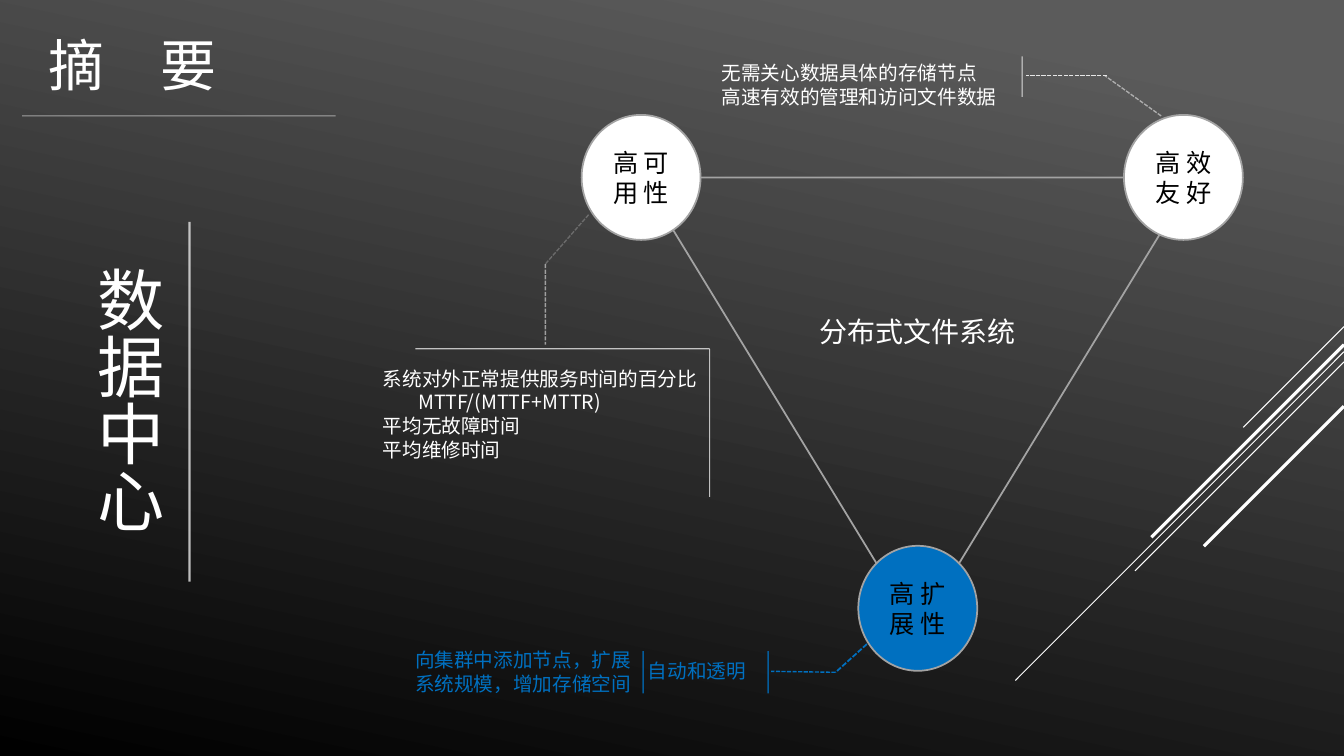
from dataclasses import dataclass
from itertools import pairwise

from lxml.etree import SubElement
from pptx import Presentation
from pptx.dml.color import RGBColor
from pptx.enum.dml import MSO_LINE
from pptx.enum.shapes import MSO_CONNECTOR, MSO_SHAPE
from pptx.enum.text import MSO_ANCHOR, MSO_AUTO_SIZE, PP_ALIGN
from pptx.oxml.ns import qn
from pptx.util import Emu, Inches, Pt

COLUMNS, ROWS = 40, 22.5
CELL = Inches(7.5) / ROWS


@dataclass(frozen=True)
class Theme:
    """Colours and type sizes of the slide."""
    font: str = "Noto Sans CJK SC"
    white: str = "FFFFFF"
    black: str = "000000"
    blue: str = "0070C0"
    pale: str = "E6E6E6"
    grey: str = "A3A3A3"
    dim: str = "898989"
    backdrop: str = "5B5B5B"
    title: int = 40
    subject: int = 48
    heading: int = 20
    node: int = 18
    note: int = 14


THEME = Theme()


@dataclass(frozen=True)
class Box:
    """A region measured in grid cells."""
    left: float
    top: float
    width: float
    height: float

    def inner(self, left, top, width, height):
        """Return a box placed relative to this one."""
        return Box(self.left + left, self.top + top, width, height)

    def point(self, column, row):
        """Return slide coordinates of a point in this box."""
        return Emu(round((self.left + column) * CELL)), Emu(round((self.top + row) * CELL))

    def frame(self):
        """Return left, top, width and height on the slide."""
        size = (Emu(round(side * CELL)) for side in (self.width, self.height))
        return *self.point(0, 0), *size


def add_run(para, text, size, color):
    """Add one run in the theme font."""
    run = para.add_run()
    run.text = text
    run.font.size = Pt(size)
    run.font.name = THEME.font
    run.font.color.rgb = RGBColor.from_string(color)
    SubElement(run.font._element, qn("a:ea"), typeface=THEME.font)


def add_text(page, box, lines, size, color, wrap=False):
    """Add a text box with one paragraph per line and return its frame."""
    frame = page.shapes.add_textbox(*box.frame()).text_frame
    frame.word_wrap = wrap
    frame.auto_size = MSO_AUTO_SIZE.SHAPE_TO_FIT_TEXT
    for index, line in enumerate(lines):
        para = frame.add_paragraph() if index else frame.paragraphs[0]
        add_run(para, line, size, color)
    return frame


def add_path(page, box, points, color, width=0.75, opacity=100, dashed=False):
    """Join points of the box with straight lines."""
    for start, end in pairwise(points):
        line = page.shapes.add_connector(
            MSO_CONNECTOR.STRAIGHT, *box.point(*start), *box.point(*end))
        line.line.color.rgb = RGBColor.from_string(color)
        line.line.width = Pt(width)
        if dashed:
            line.line.dash_style = MSO_LINE.SQUARE_DOT
        properties = line._element.spPr
        if opacity < 100:
            shade = properties.find(".//" + qn("a:srgbClr"))
            SubElement(shade, qn("a:alpha"), val=str(opacity * 1000))
        SubElement(properties, qn("a:effectLst"))


def add_outlined(page, kind, box, fill=None):
    """Add a preset shape with the grey outline."""
    shape = page.shapes.add_shape(kind, *box.frame())
    shape.shadow.inherit = False
    shape.line.color.rgb = RGBColor.from_string(THEME.grey)
    shape.line.width = Pt(1.25)
    if fill:
        shape.fill.solid()
        shape.fill.fore_color.rgb = RGBColor.from_string(fill)
    else:
        shape.fill.background()
    return shape


def draw_backdrop(page):
    """Fill the background with the dark gradient."""
    fill = page.background.fill
    fill.gradient()
    fill.gradient_angle = 258
    stops = zip(fill.gradient_stops, ((0.1, THEME.backdrop), (1, THEME.black)))
    for stop, (position, color) in stops:
        stop.position = position
        stop.color.rgb = RGBColor.from_string(color)


def draw_streaks(page, box):
    """Draw the diagonal streaks from the right edge."""
    streaks = ((0, 3, 0.75), (0.75, 9.78, 0.75), (1.05, 6.22, 0.75),
               (0.54, 5.73, 2.25), (2.37, 4.17, 2.25))
    for row, reach, width in streaks:
        ends = ((box.width, row), (box.width - reach, row + reach))
        add_path(page, box, ends, THEME.white, width)


def draw_title(page, box):
    """Draw the heading and the rule below it."""
    add_text(page, box.inner(0.5, 0.75, 8.85, 2.31), ["摘　要"],
             THEME.title, THEME.white, wrap=True)
    add_path(page, box, ((0, box.height), (box.width, box.height)), THEME.pale, opacity=60)


def draw_subject(page, box):
    """Draw the vertical subject and the rule beside it."""
    frame = add_text(page, box.inner(0, 1.02, 3.03, 8.37), ["数据中心"],
                     THEME.subject, THEME.white)
    frame._txBody.bodyPr.set("vert", "eaVert")
    add_path(page, box, ((box.width, 0), (box.width, box.height)), THEME.pale, 1.75, 80)


def draw_triangle(page, box):
    """Draw the triangle, a node near each corner and the label inside."""
    add_outlined(page, MSO_SHAPE.ISOSCELES_TRIANGLE, box).rotation = 180
    width, height = 3.54, 3.72
    nodes = (("高 可用 性", 0, 0, THEME.white),
             ("高 效友 好", 0.98, 0, THEME.white),
             ("高 扩展 性", 0.5, 0.95, THEME.blue))
    for label, across, down, fill in nodes:
        spot = box.inner(across * box.width - width / 2,
                         down * box.height - height / 2, width, height)
        frame = add_outlined(page, MSO_SHAPE.OVAL, spot, fill).text_frame
        frame.word_wrap = True
        frame.vertical_anchor = MSO_ANCHOR.MIDDLE
        para = frame.paragraphs[0]
        para.alignment = PP_ALIGN.CENTER
        add_run(para, label, THEME.node, THEME.black)
    add_text(page, box.inner(5.01, 3.93, 6.51, 1.32), ["分布式文件系统"],
             THEME.heading, THEME.white)


def draw_availability(page, box):
    """Draw the note on availability."""
    add_path(page, box, ((6.42, 0), (5.13, 1.47)), THEME.dim, 1, 60, True)
    add_path(page, box, ((5.13, 1.47), (5.13, 3.87)), THEME.pale, 1, 60, True)
    add_path(page, box, ((1.26, 3.99), (box.width, 3.99), (box.width, box.height)),
             THEME.pale, opacity=80)
    lines = ["系统对外正常提供服务时间的百分比", "MTTF/(MTTF+MTTR)", "平均无故障时间", "平均维修时间"]
    frame = add_text(page, box.inner(0, 4.38, box.width, 3.12), lines,
                     THEME.note, THEME.white)
    formula = frame.paragraphs[1]._p.get_or_add_pPr()
    formula.set("marL", str(Inches(0.35)))


def draw_efficiency(page, box):
    """Draw the note on efficiency."""
    add_path(page, box, ((box.width, box.height), (11.7, 0.57)), THEME.pale, 1, 60, True)
    add_path(page, box, ((11.76, 0.57), (9.36, 0.57)), THEME.pale, 1, dashed=True)
    add_path(page, box, ((9.24, 0), (9.24, 1.2)), THEME.white, opacity=80)
    add_text(page, box.inner(0, 0, 8.85, 1.71),
             ["无需关心数据具体的存储节点", "高速有效的管理和访问文件数据"],
             THEME.note, THEME.white)


def draw_scaling(page, box):
    """Draw the note on scaling."""
    add_path(page, box, ((box.width, 0.03), (12.81, 0.87)), THEME.blue, 1.25, dashed=True)
    add_path(page, box, ((12.81, 0.87), (10.89, 0.84)), THEME.blue, 1, dashed=True)
    for column in (7.08, 10.8):
        add_path(page, box, ((column, 0.24), (column, box.height)), THEME.blue, 1, 79)
    add_text(page, box.inner(0, 0, 7.08, 1.71),
             ["向集群中添加节点，扩展", "系统规模，增加存储空间"], THEME.note, THEME.blue)
    add_text(page, box.inner(6.93, 0.33, 3.54, 1.02), ["自动和透明"],
             THEME.note, THEME.blue)


def main():
    """Build and save the deck."""
    deck = Presentation()
    deck.slide_width, deck.slide_height = round(COLUMNS * CELL), round(ROWS * CELL)
    page = deck.slides.add_slide(deck.slide_layouts[6])
    draw_backdrop(page)
    draw_streaks(page, Box(30.22, 9.72, 9.78, 10.53))
    draw_triangle(page, Box(19.08, 5.28, 16.47, 13.5))
    draw_title(page, Box(0.66, 0, 9.33, 3.45))
    draw_subject(page, Box(2.16, 6.6, 3.48, 10.71))
    draw_availability(page, Box(11.1, 6.39, 10.02, 8.4))
    draw_efficiency(page, Box(21.18, 1.68, 13.38, 1.77))
    draw_scaling(page, Box(12.06, 19.14, 13.74, 1.5))
    deck.save("out.pptx")


if __name__ == "__main__":
    main()
